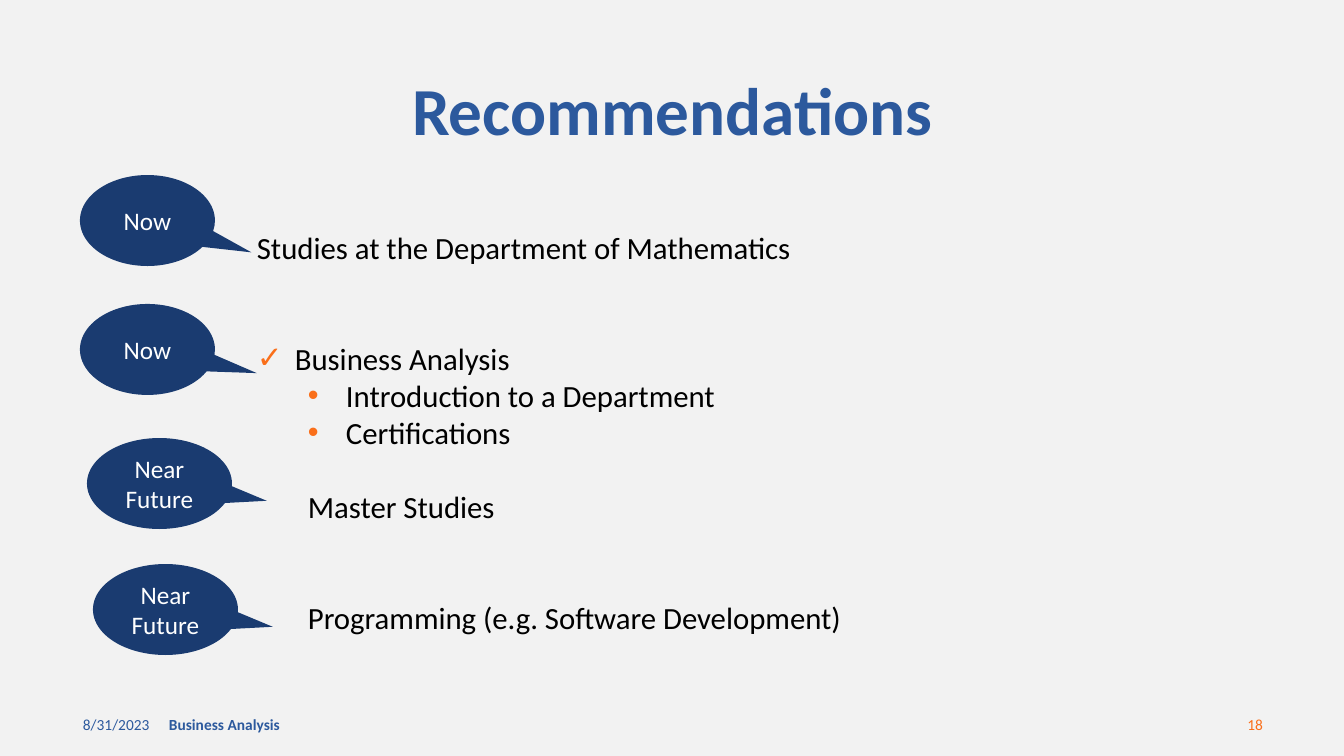
from lxml import etree
from pptx import Presentation
from pptx import util as u
from pptx.dml.color import RGBColor
from pptx.enum import shapes, text
from pptx.oxml.ns import qn

EMU_PER_PX = 12192000 / 1344
COLORS = {"paper": "F2F2F2", "blue": "2C599D", "navy": "1A3B70",
          "orange": "FA6F1A", "black": "000000", "white": "FFFFFF"}
ALIGN = text.PP_ALIGN
HANGING = 38  # px between a bullet and its text


def px(n):
    return u.Emu(round(n * EMU_PER_PX))


def rgb(name):
    return RGBColor.from_string(COLORS[name])


class Deck:
    """Holds the presentation, its current slide and its text style."""

    def __init__(self, font):
        self.font = font
        self.prs = Presentation()
        self.prs.slide_width, self.prs.slide_height = px(1344), px(756)
        self.s = self.prs.slides.add_slide(self.prs.slide_layouts[6])
        fill = self.s.background.fill
        fill.solid()
        fill.fore_color.rgb = rgb("paper")

    def add_text(self, p, words, color, **formats):
        r = p.add_run()
        r.text = words
        r.font.name = self.font
        r.font.color.rgb = rgb(color)
        for name, value in formats.items():
            setattr(r.font, name, value)

    def box(self, at, anchor):
        tf = self.s.shapes.add_textbox(*map(px, at)).text_frame
        tf.word_wrap = True
        tf.vertical_anchor = anchor
        return tf

    def label(self, at, words, color, size, align=ALIGN.LEFT, bold=False):
        p = self.box(at, text.MSO_ANCHOR.MIDDLE).paragraphs[0]
        p.alignment = align
        self.add_text(p, words, color, size=u.Pt(size), bold=bold)

    def bullet(self, p, char):
        pPr = p._p.get_or_add_pPr()
        clr = etree.SubElement(pPr, qn("a:buClr"))
        etree.SubElement(clr, qn("a:srgbClr"), val=COLORS["orange"])
        etree.SubElement(pPr, qn("a:buFont"), typeface="Arial")
        etree.SubElement(pPr, qn("a:buChar"), char=char)

    def outline(self, at, items, size):
        """Items are (words, level, indent in px, bullet, points before)."""
        tf = self.box(at, text.MSO_ANCHOR.TOP)
        for i, (words, level, indent, char, before) in enumerate(items):
            p = tf.add_paragraph() if i else tf.paragraphs[0]
            pPr = p._p.get_or_add_pPr()
            pPr.set("marL", str(px(indent)))
            pPr.set("indent", str(px(-HANGING if char else 0)))
            if char:
                self.bullet(p, char)
            formats = {"level": level, "alignment": ALIGN.JUSTIFY}
            if before:
                formats["space_before"] = u.Pt(before)
            for name, value in formats.items():
                setattr(p, name, value)
            self.add_text(p, words, "black", size=u.Pt(size))

    def callout(self, at, words, tip):
        sp = self.s.shapes.add_shape(
            shapes.MSO_SHAPE.OVAL_CALLOUT, *map(px, at))
        sp.shadow.inherit = False
        sp.fill.solid()
        sp.fill.fore_color.rgb = rgb("navy")
        sp.line.fill.background()
        for i, offset in enumerate(tip):
            sp.adjustments[i] = offset
        sp.text_frame.vertical_anchor = text.MSO_ANCHOR.MIDDLE
        p = sp.text_frame.paragraphs[0]
        p.alignment = ALIGN.CENTER
        self.add_text(p, words, "white", size=u.Pt(18))


def main():
    deck = Deck("Calibri")
    deck.label((73, 704, 302, 40), "8/31/2023", "blue", 11)
    deck.label((159, 704, 454, 40), "Business Analysis", "blue", 11, bold=True)
    deck.label((971, 704, 302, 40), "18", "orange", 11, ALIGN.RIGHT)
    deck.label((93, 70, 1159, 78), "Recommendations", "blue", 48,
               ALIGN.CENTER, bold=True)

    line = 26.4
    deck.outline((197, 224, 1091, 440), [
        ("Studies at the Department of Mathematics", 1, 50, None, 0),
        ("Business Analysis", 1, 88, "✓", 2 * line),
        ("Introduction to a Department", 2, 139, "•", 0),
        ("Certifications", 2, 139, "•", 0),
        ("Master Studies", 2, 101, None, line),
        ("Programming (e.g. Software Development)", 2, 101, None, 2 * line),
    ], 22)

    for left, top, width, words, tip in [
        (80, 175, 135, "Now", (0.77, 0.35)),
        (80, 304, 135, "Now", (0.81, 0.26)),
        (87, 438, 145, "Near Future", (0.74, 0.19)),
        (93, 564, 145, "Near Future", (0.74, 0.19)),
    ]:
        deck.callout((left, top, width, 91), words, tip)
    deck.prs.save("out.pptx")


if __name__ == "__main__":
    main()
